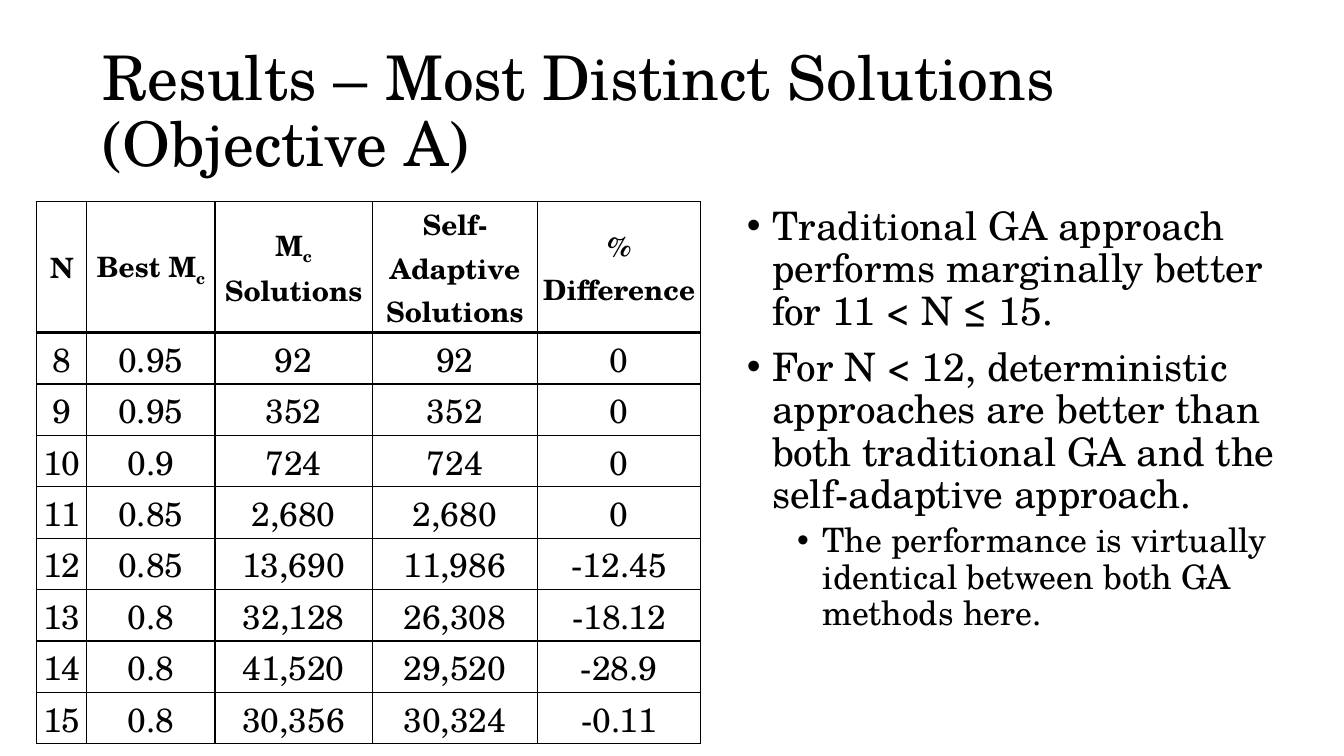
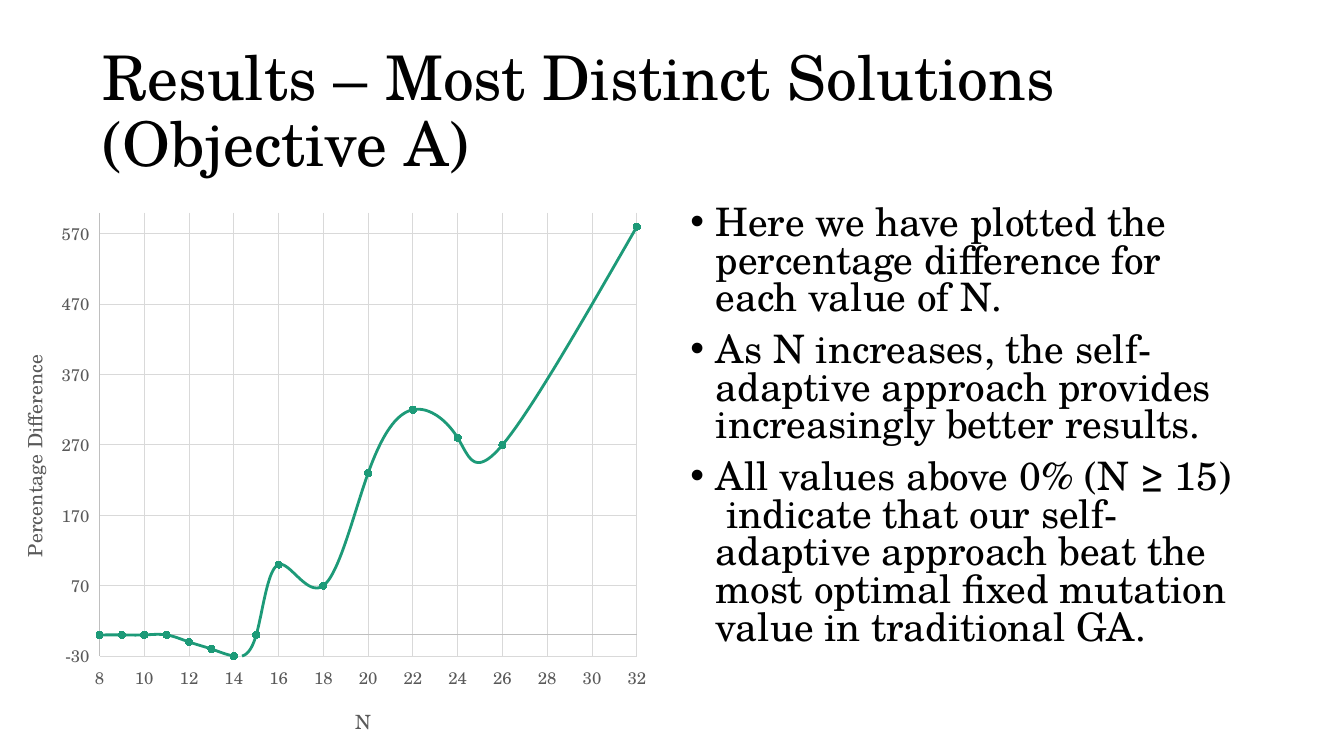
from dataclasses import dataclass
from pptx import Presentation
from pptx.chart.data import XyChartData
from pptx.dml.color import RGBColor as Rgb
from pptx.enum.chart import XL_CHART_TYPE as Kind, XL_MARKER_STYLE as Mark
from pptx.enum.chart import XL_TICK_LABEL_POSITION as Spot, XL_TICK_MARK as Tick
from pptx.enum.text import MSO_ANCHOR as Anchor, PP_ALIGN as Align
from pptx.oxml import parse_xml
from pptx.oxml.ns import nsdecls, qn
from pptx.util import Cm, Pt


@dataclass(frozen=True)
class Theme:
    face: str = "TeX Gyre Schola"
    ink: str = "000000"
    paper: str = "FFFFFF"
    gray: str = "595959"
    rule: str = "BFBFBF"
    grid: str = "D9D9D9"
    green: str = "1D9A78"
    title: int = 44
    lead: int = 28
    sub: int = 24
    head: int = 20
    cell: int = 24
    label: int = 14
    tick: int = 12


T = Theme()
TITLE = "Results – Most Distinct Solutions (Objective A)"
HEAD = ["N", "Best M_c", "M_c_ Solutions", "Self-Adaptive Solutions", "% Difference"]
ROWS = [
    ["8", "0.95", "92", "92", "0"],
    ["9", "0.95", "352", "352", "0"],
    ["10", "0.9", "724", "724", "0"],
    ["11", "0.85", "2,680", "2,680", "0"],
    ["12", "0.85", "13,690", "11,986", "-12.45"],
    ["13", "0.8", "32,128", "26,308", "-18.12"],
    ["14", "0.8", "41,520", "29,520", "-28.9"],
    ["15", "0.8", "30,356", "30,324", "-0.11"],
]
WIDTHS = [1.27, 3.23, 3.96, 4.17, 4.11]
POINTS = [(8, 0), (9, 0), (10, 0), (11, 0), (12, -10), (13, -20), (14, -30), (15, 0),
          (16, 100), (18, 70), (20, 230), (22, 320), (24, 280), (26, 270), (32, 580)]
TABLE_NOTES = [
    (0, "Traditional GA approach performs marginally better for 11 < N ≤ 15."),
    (0, "For N < 12, deterministic approaches are better than both traditional GA "
        "and the self-adaptive approach."),
    (1, "The performance is virtually identical between both GA methods here."),
]
CHART_NOTES = [
    (0, "Here we have plotted the percentage difference for each value of N."),
    (0, "As N increases, the self-adaptive approach provides increasingly better results."),
    (0, "All values above 0% (N ≥ 15)  indicate that our self-adaptive approach beat "
        "the most optimal fixed mutation value in traditional GA."),
]


def put(item, vals):
    for name, val in vals.items():
        setattr(item, name, val)


def style(font, size, color=T.ink, bold=False):
    put(font, {"name": T.face, "size": Pt(size), "bold": bold})
    font.color.rgb = Rgb.from_string(color)


def stroke(line, color, width):
    line.color.rgb = Rgb.from_string(color)
    line.width = Pt(width)


def frame(slide, box):
    text = slide.shapes.add_textbox(*map(Cm, box)).text_frame
    text.word_wrap = True
    return text


def add_title(slide, box):
    text = frame(slide, box)
    text.vertical_anchor = Anchor.MIDDLE
    para = text.paragraphs[0]
    para.line_spacing = 0.9
    run = para.add_run()
    run.text = TITLE
    style(run.font, T.title)


def add_notes(slide, box, notes, space):
    text = frame(slide, box)
    for num, (level, words) in enumerate(notes):
        para = text.add_paragraph() if num else text.paragraphs[0]
        put(para, {"level": level, "line_spacing": space,
                   "space_before": Pt(5 if level else 10)})
        run = para.add_run()
        run.text = words
        style(run.font, T.sub if level else T.lead)
        props = para._p.get_or_add_pPr()
        props.set("marL", str(Cm(0.64 + 1.27 * level)))
        props.set("indent", str(-Cm(0.64)))
        for bullet in ('buFont %s typeface="Arial"', 'buChar %s char="•"'):
            props.append(parse_xml(f"<a:{bullet % nsdecls('a')}/>"))


def border(cell, base):
    props = cell._tc.get_or_add_tcPr()
    sides = {"L": 1, "R": 1, "T": 1, "B": base}
    for num, (side, width) in enumerate(sides.items()):
        props.insert(num, parse_xml(
            f'<a:ln{side} {nsdecls("a")} w="{Pt(width)}"><a:solidFill>'
            f'<a:srgbClr val="{T.ink}"/></a:solidFill></a:ln{side}>'))


def fill_cell(cell, words, head):
    put(cell, {"margin_left": Cm(0.03), "margin_right": Cm(0.03), "margin_top": Cm(0.03),
               "margin_bottom": 0, "vertical_anchor": Anchor.MIDDLE})
    cell.fill.background()
    border(cell, 2 if head else 1)
    para = cell.text_frame.paragraphs[0]
    para.alignment = Align.CENTER
    for num, part in enumerate(words.split("_")):
        run = para.add_run()
        run.text = part
        style(run.font, T.head if head else T.cell, bold=head)
        if num % 2:
            run._r.get_or_add_rPr().set("baseline", "-25000")


def add_grid(slide, box):
    rows = [HEAD] + ROWS
    table = slide.shapes.add_table(len(rows), len(HEAD), *map(Cm, box)).table
    put(table, {"first_row": False, "horz_banding": False})
    for col, width in zip(table.columns, WIDTHS):
        col.width = Cm(width)
    top = 3.3
    step = (box[3] - top) / len(ROWS)
    for num, line in enumerate(rows):
        table.rows[num].height = Cm(step if num else top)
        for col, words in enumerate(line):
            fill_cell(table.cell(num, col), words, num == 0)


def place(item, index, **spots):
    for old in item.findall(qn("c:layout")):
        item.remove(old)
    modes = {"xMode": "edge", "yMode": "edge"}
    if "w" in spots:
        modes = {"layoutTarget": "inner", **modes}
    parts = "".join(f'<c:{key} val="{val}"/>' for key, val in {**modes, **spots}.items())
    item.insert(index, parse_xml(
        f'<c:layout {nsdecls("c")}><c:manualLayout>{parts}</c:manualLayout></c:layout>'))


def set_axis(axis, words, low, high, step, turn, x, y):
    put(axis, {"minimum_scale": low, "maximum_scale": high, "major_unit": step,
               "major_tick_mark": Tick.NONE, "minor_tick_mark": Tick.NONE,
               "has_major_gridlines": True, "tick_label_position": Spot.LOW})
    stroke(axis.format.line, T.rule, 0.75)
    stroke(axis.major_gridlines.format.line, T.grid, 0.75)
    style(axis.tick_labels.font, T.tick, T.gray)
    title = axis.axis_title
    run = title.text_frame.paragraphs[0].add_run()
    run.text = words
    style(run.font, T.label, T.gray)
    title._element.find(".//" + qn("a:bodyPr")).set("rot", str(turn * 60000))
    place(title._element, 1, x=x, y=y)


def add_plot(slide, box):
    data = XyChartData()
    line = data.add_series("Series 1")
    for point in POINTS:
        line.add_data_point(*point)
    chart = slide.shapes.add_chart(Kind.XY_SCATTER_SMOOTH, *map(Cm, box), data).chart
    put(chart, {"has_legend": False, "has_title": False})
    style(chart.font, 10)
    set_axis(chart.category_axis, "N", 8, 32, 2, 0, 0.53, 0.9)
    set_axis(chart.value_axis, "Percentage Difference", -30, 600, 100, -90, 0.02, 0.27)
    place(chart._chartSpace.find(".//" + qn("c:plotArea")), 0, x=0.15, y=0.02, w=0.81, h=0.8)
    plot = chart.plots[0]
    plot.vary_by_categories = False
    curve = plot.series[0]
    curve._element.get_or_add_smooth().set("val", "1")
    stroke(curve.format.line, T.green, 2)
    mark = curve.marker
    put(mark, {"style": Mark.CIRCLE, "size": 5})
    mark.format.fill.solid()
    mark.format.fill.fore_color.rgb = Rgb.from_string(T.green)
    stroke(mark.format.line, T.green, 0.75)


def add_page(deck, draw, box, notes, left, space):
    slide = deck.slides.add_slide(deck.slide_layouts[6])
    back = slide.background.fill
    back.solid()
    back.fore_color.rgb = Rgb.from_string(T.paper)
    add_title(slide, (2.33, 1.02, 29.21, 3.68))
    draw(slide, box)
    add_notes(slide, (left, 5.08, 14.4, 12.09), notes, space)


def main():
    deck = Presentation()
    put(deck, {"slide_width": Cm(33.87), "slide_height": Cm(19.05)})
    add_page(deck, add_grid, (0.92, 5.08, 16.74, 13.66), TABLE_NOTES, 18.57, 0.9)
    add_page(deck, add_plot, (0, 5.08, 16.72, 13.97), CHART_NOTES, 17.15, 0.8)
    deck.save("out.pptx")


if __name__ == "__main__":
    main()
